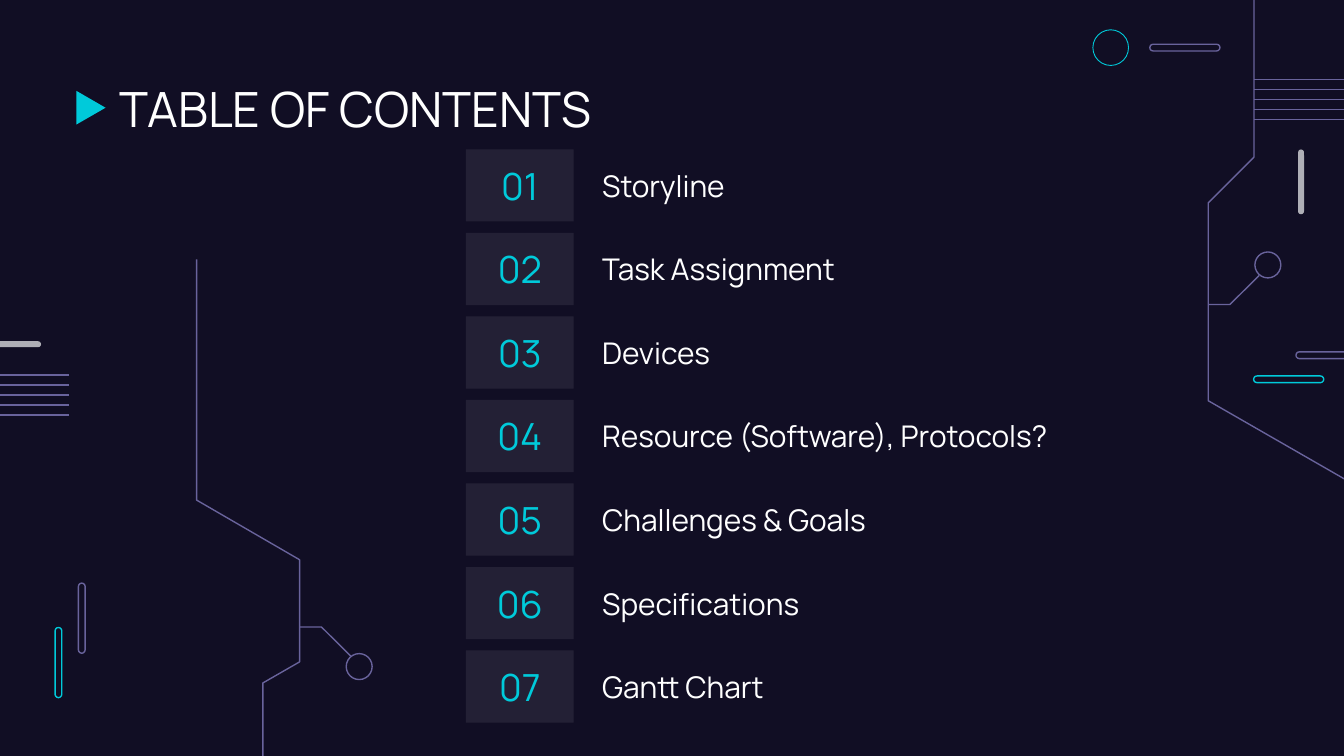
from lxml import etree
from pptx import Presentation
from pptx.dml.color import RGBColor
from pptx.enum import shapes, text
from pptx.oxml.ns import qn
from pptx.util import Pt

TITLE = "TABLE OF CONTENTS"
ENTRIES = [
    ("Storyline", 214),
    ("Task Assignment", 214),
    ("Devices", 214),
    ("Resource (Software), Protocols?", 278),
    ("Challenges & Goals", 214),
    ("Specifications", 214),
    ("Gantt Chart", 214),
]
COLORS = {
    "night": "110E24",
    "cyan": "00CADA",
    "purple": "69639C",
    "grey": "AFAFB6",
    "white": "FFFFFF",
}
FONT = "Manrope"
INSET = 7.2
ROW_TOP, ROW_PITCH, ROW_HEIGHT = 80, 44.75, 38.7
NUMBER_LEFT, NUMBER_WIDTH, LABEL_LEFT = 249.6, 57.8, 315.5

CAPSULES = [
    (29.5, 336.2, 3.6, 37.6, "cyan"),
    (42, 312.4, 3.6, 37.6, "purple"),
    (671.6, 201.4, 37.6, 3.6, "cyan"),
    (694.3, 188.5, 37.6, 3.6, "purple"),
    (616, 23.7, 37.6, 3.6, "purple"),
]
BARS = [(695.4, 80.1, 3.2, 34.7), (-13, 182.8, 35, 3.2)]
CIRCLES = [
    (585.5, 16, 19.1, "cyan", 0.47),
    (672.3, 135, 13.9, "purple", 0.75),
    (185.5, 350.2, 13.9, "purple", 0.75),
]
TRACES = [
    [(728.6, 261.4), (647.3, 214.7), (647.3, 108.7), (671.8, 84.2), (671.8, -4.3)],
    [(674.6, 147.6), (658.9, 163.1), (647.3, 163.1)],
    [(105.3, 138.9), (105.3, 267.9), (160.5, 299.9), (160.5, 354.6),
     (140.8, 365.9), (140.8, 411.1)],
    [(187.9, 351.5), (172.2, 335.9), (160.5, 335.9)],
]
STRIPES = [(671.8, 777.6, 42.5), (37.1, -43.9, 200.9)]
STRIPE_COUNT, STRIPE_PITCH = 5, 5.38


def rgb(name):
    return RGBColor.from_string(COLORS[name])


def pts(*values):
    return [Pt(v) for v in values]


def style(sp, fill=None, line=None, weight=0.75):
    sp.shadow.inherit = False
    if fill:
        sp.fill.solid()
        sp.fill.fore_color.rgb = rgb(fill)
    else:
        sp.fill.background()
    if line:
        sp.line.color.rgb = rgb(line)
        sp.line.width = Pt(weight)
    else:
        sp.line.fill.background()
    return sp


def write(sp, words, size=16, color="white", align="LEFT", anchor="MIDDLE"):
    tf = sp.text_frame
    tf.word_wrap = True
    tf.auto_size = text.MSO_AUTO_SIZE.NONE
    tf.vertical_anchor = getattr(text.MSO_ANCHOR, anchor)
    tf.margin_left = tf.margin_right = tf.margin_top = tf.margin_bottom = Pt(INSET)
    p = tf.paragraphs[0]
    p.alignment = getattr(text.PP_ALIGN, align)
    r = p.add_run()
    r.text = words
    r.font.name = FONT
    r.font.size = Pt(size)
    r.font.color.rgb = rgb(color)


def add(s, kind, box, **look):
    sp = s.shapes.add_shape(getattr(shapes.MSO_SHAPE, kind), *pts(*box))
    return style(sp, **look)


def add_capsule(s, box, **look):
    add(s, "ROUNDED_RECTANGLE", box, **look).adjustments[0] = 0.5


def add_trace(s, points):
    corners = [tuple(pts(*point)) for point in points]
    builder = s.shapes.build_freeform(*corners[0])
    builder.add_line_segments(corners[1:], close=False)
    style(builder.convert_to_shape(), line="purple")


def add_stripe(s, start, end, y):
    line = s.shapes.add_connector(shapes.MSO_CONNECTOR.STRAIGHT, *pts(start, y, end, y))
    line.line.color.rgb = rgb("purple")
    line.line.width = Pt(0.75)
    etree.SubElement(line._element.spPr, qn("a:effectLst"))


def add_decoration(s):
    for *box, color in CAPSULES:
        add_capsule(s, box, line=color)
    for box in BARS:
        add_capsule(s, box, fill="grey")
    for points in TRACES:
        add_trace(s, points)
    for left, top, size, color, weight in CIRCLES:
        add(s, "OVAL", (left, top, size, size), line=color, weight=weight)
    for start, end, top in STRIPES:
        for i in range(STRIPE_COUNT):
            add_stripe(s, start, end, top + i * STRIPE_PITCH)
    marker = add(s, "FLOWCHART_MERGE", (39.8, 49.9, 18, 15.6), fill="cyan")
    marker.rotation = 270


def add_entry(s, index, label, width):
    top = ROW_TOP + index * ROW_PITCH
    tile = add(s, "RECTANGLE", (NUMBER_LEFT, top, NUMBER_WIDTH, ROW_HEIGHT), fill="white")
    color = tile._element.spPr.find(qn("a:solidFill"))[0]
    etree.SubElement(color, qn("a:alpha"), val="8000")
    write(tile, f"{index + 1:02d}", size=20, color="cyan", align="CENTER")
    write(s.shapes.add_textbox(*pts(LABEL_LEFT, top, width, ROW_HEIGHT)), label)


def main():
    prs = Presentation()
    prs.slide_width, prs.slide_height = pts(720, 405)
    s = prs.slides.add_slide(prs.slide_layouts[5])
    s.background.fill.solid()
    s.background.fill.fore_color.rgb = rgb("night")
    add_decoration(s)
    title = s.shapes.title
    title.left, title.top, title.width, title.height = pts(56.9, 35.3, 607, 45.4)
    write(title, TITLE, size=26, anchor="TOP")
    for index, (label, width) in enumerate(ENTRIES):
        add_entry(s, index, label, width)
    prs.save("out.pptx")


if __name__ == "__main__":
    main()
